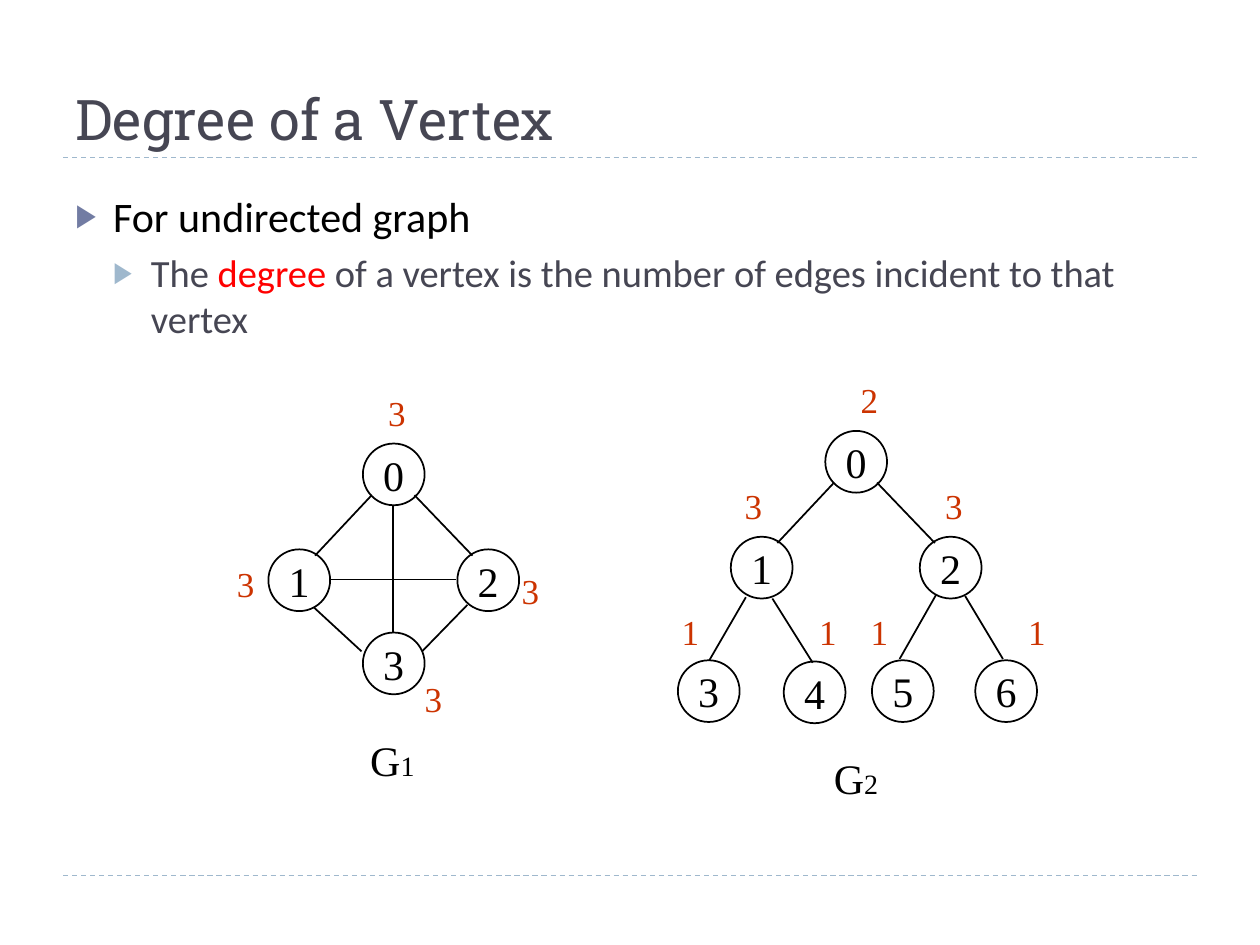
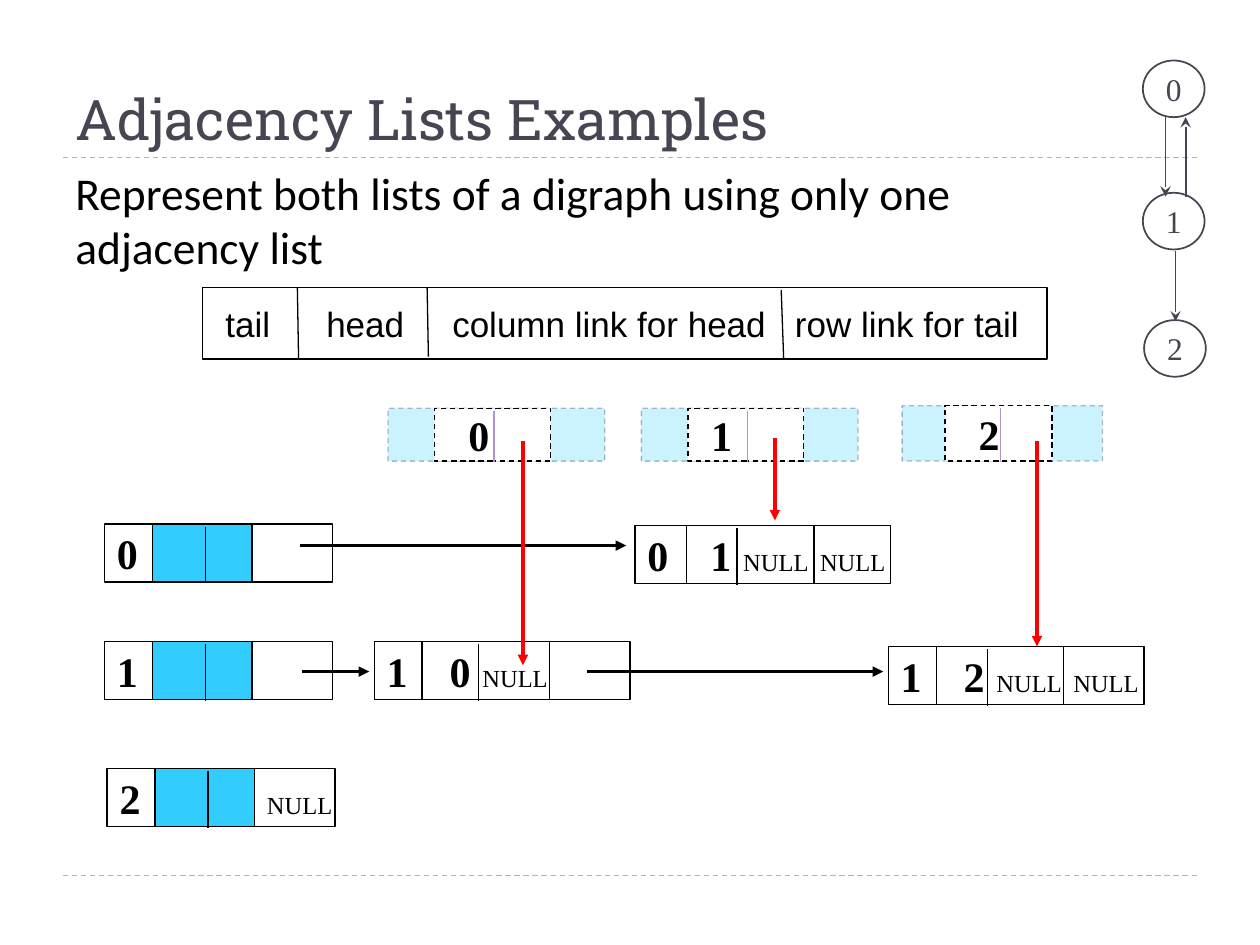
from dataclasses import dataclass, replace
from typing import NamedTuple, Optional

from lxml.etree import SubElement
from pptx import Presentation
from pptx.dml.color import RGBColor
from pptx.enum.dml import MSO_LINE
from pptx.enum.shapes import MSO_CONNECTOR as CONN, MSO_SHAPE as SHAPE
from pptx.enum.text import MSO_ANCHOR as ANCHOR, PP_ALIGN as ALIGN
from pptx.oxml.ns import qn
from pptx.util import Inches, Pt

WIDTH, HEIGHT = Inches(10), Inches(7.5)
COLS, ROWS = 100, 75


@dataclass(frozen=True)
class Theme:
    slate: str = "464653"
    black: str = "000000"
    white: str = "FFFFFF"
    red: str = "FF0000"
    degree: str = "CC3300"
    rule: str = "9FB8CD"
    bullet: str = "727CA3"
    cyan: str = "33CCFF"
    divider: str = "B292CA"
    head: str = "Roboto Slab"
    body: str = "Calibri"
    serif: str = "Times New Roman"
    sans: str = "Arial"
    title: int = 32
    lead: int = 26
    level1: int = 24
    level2: int = 22
    node: int = 24
    label: int = 20
    small_node: int = 18
    subscript: int = 16
    null: int = 14
    thin: float = 0.75
    edge: float = 1
    arrow: float = 2


T = Theme()


class Node(NamedTuple):
    text: str
    x: float
    y: float


class Edge(NamedTuple):
    x1: float
    y1: float
    x2: float
    y2: float


class Graph(NamedTuple):
    name: str
    name_x: float
    name_y: float
    nodes: list[Node]
    degrees: list[Node]
    edges: list[Edge]


@dataclass(frozen=True)
class RecordKind:
    w: float
    h: float
    inner_x: float
    inner_w: float
    divider_x: float
    tabs: tuple[float, ...] = ()
    fill: Optional[str] = None
    inner_fill: Optional[str] = None
    divider: str = T.black
    dashed: bool = False


class Record(NamedTuple):
    x: float
    y: float
    kind: RecordKind
    key: str
    rest: str = ""
    inset: float = 1


def col(n: float) -> int:
    return round(WIDTH * n / COLS)


def row(n: float) -> int:
    return round(HEIGHT * n / ROWS)


def area(x: float, y: float, w: float, h: float) -> tuple[int, int, int, int]:
    return col(x), row(y), col(w), row(h)


def fade(fill, percent: int) -> None:
    SubElement(fill.find(qn("a:solidFill"))[0], qn("a:alpha"), val=str(percent * 1000))


def stroke(line, color: str, width: float, dashed: bool = False) -> None:
    line.color.rgb = RGBColor.from_string(color)
    line.width = Pt(width)
    if dashed:
        line.dash_style = MSO_LINE.DASH


def add_line(slide, e: Edge, color: str = T.black, width: float = T.edge,
             dashed: bool = False, tip: str = "") -> None:
    c = slide.shapes.add_connector(CONN.STRAIGHT, col(e.x1), row(e.y1), col(e.x2), row(e.y2))
    stroke(c.line, color, width, dashed)
    if tip:
        SubElement(c.line._get_or_add_ln(), qn("a:tailEnd"), type=tip)
    SubElement(c._element.spPr, qn("a:effectLst"))


def add_shape(slide, preset, x: float, y: float, w: float, h: float,
              fill: Optional[str] = T.white, line: str = T.black,
              width: float = T.thin, dashed: bool = False, alpha: int = 100):
    s = slide.shapes.add_shape(preset, *area(x, y, w, h))
    s.shadow.inherit = False
    stroke(s.line, line, width, dashed)
    if fill:
        s.fill.solid()
        s.fill.fore_color.rgb = RGBColor.from_string(fill)
    else:
        s.fill.background()
    if alpha < 100:
        fade(s._element.spPr, alpha)
        fade(s.line._get_or_add_ln(), alpha)
    return s


def start_text(s, anchor=ANCHOR.MIDDLE, align=ALIGN.LEFT, wrap: bool = True,
               inset: float = 1, right: float = 1):
    tf = s.text_frame
    tf.word_wrap = wrap
    tf.vertical_anchor = anchor
    tf.margin_left, tf.margin_right = col(inset), col(right)
    tf.margin_top = tf.margin_bottom = row(0.5)
    p = tf.paragraphs[0]
    p.alignment = align
    return p


def add_run(p, text: str, *, size: float = T.node, color: str = T.black,
            font: str = T.serif, bold: bool = False) -> None:
    r = p.add_run()
    r.text = text
    r.font.size, r.font.name, r.font.bold = Pt(size), font, bold
    r.font.color.rgb = RGBColor.from_string(color)


def set_tabs(p, stops: tuple[float, ...]) -> None:
    tabs = SubElement(p._p.get_or_add_pPr(), qn("a:tabLst"))
    for stop in stops:
        SubElement(tabs, qn("a:tab"), pos=str(col(stop)), algn="l")


def set_bullet(p, color: str, indent: float) -> None:
    pPr = p._p.get_or_add_pPr()
    pPr.set("marL", str(col(indent)))
    pPr.set("indent", str(col(-3)))
    SubElement(SubElement(pPr, qn("a:buClr")), qn("a:srgbClr"), val=color)
    SubElement(pPr, qn("a:buSzPct"), val="76000")
    SubElement(pPr, qn("a:buFont"), typeface=T.sans)
    SubElement(pPr, qn("a:buChar"), char="▶")


def add_box(slide, x: float, y: float, w: float, h: float, **kw):
    return start_text(slide.shapes.add_textbox(*area(x, y, w, h)), **kw)


def add_slide(prs, title: str):
    slide = prs.slides.add_slide(prs.slide_layouts[6])
    for y in (69.5, 12.5):
        add_line(slide, Edge(5, y, 95, y), T.rule, T.thin, dashed=True)
    p = add_box(slide, 5, 1.7, 90, 10.8, anchor=ANCHOR.BOTTOM)
    add_run(p, title, size=T.title, color=T.slate, font=T.head)
    return slide


def add_node(slide, n: Node, h: float = 4.9, size: float = T.node, color: str = T.black) -> None:
    s = add_shape(slide, SHAPE.OVAL, n.x, n.y, 4.9, h, line=color, width=T.edge)
    p = start_text(s, align=ALIGN.CENTER, wrap=False)
    add_run(p, n.text, size=size, color=color)


def add_graph(slide, g: Graph) -> None:
    for n in g.nodes:
        add_node(slide, n)
    for e in g.edges:
        add_line(slide, e)
    for d in g.degrees:
        p = add_box(slide, d.x, d.y, 3.4, 4.4, align=ALIGN.CENTER, wrap=False)
        add_run(p, d.text, size=T.label, color=T.degree)
    p = add_box(slide, g.name_x, g.name_y, 5.6, 5.1, anchor=ANCHOR.TOP, wrap=False)
    add_run(p, g.name[0])
    add_run(p, g.name[1:], size=T.subscript)


def add_record(slide, rec: Record) -> None:
    k = rec.kind
    outer = add_shape(slide, SHAPE.RECTANGLE, rec.x, rec.y, k.w, k.h, k.fill,
                      dashed=k.dashed, alpha=25 if k.dashed else 100)
    inner = add_shape(slide, SHAPE.RECTANGLE, rec.x + k.inner_x, rec.y, k.inner_w, k.h,
                      k.inner_fill, dashed=k.dashed)
    p = start_text(inner if k.dashed else outer, inset=rec.inset, right=0)
    set_tabs(p, k.tabs)
    add_run(p, rec.key, bold=True)
    if rec.rest:
        add_run(p, rec.rest, size=T.null)
    x = rec.x + k.divider_x
    add_line(slide, Edge(x, rec.y + 0.2, x, rec.y + k.h + 0.1), k.divider, T.thin)


G1 = Graph(
    "G1", 28.4, 57.8,
    [Node("0", 28.8, 35.2), Node("1", 21.3, 43.6), Node("2", 36.3, 43.6), Node("3", 28.8, 50.2)],
    [Node("3", 29.8, 30.5), Node("3", 40.4, 44.7), Node("3", 17.8, 44.1), Node("3", 32.7, 53.2)],
    [Edge(31.2, 40.2, 31.2, 50.2), Edge(26.2, 46, 36.2, 46), Edge(29.5, 39.3, 25, 44.1),
     Edge(32.9, 39.3, 37.5, 44.1), Edge(24.9, 48.2, 28.7, 51.7), Edge(37.1, 48, 33.5, 51.7)])

G2 = Graph(
    "G2", 65.2, 59.2,
    [Node("0", 65.5, 34.2), Node("1", 58, 42.6), Node("2", 73, 42.6), Node("3", 53.8, 52.4),
     Node("4", 62.2, 52.5), Node("5", 69.2, 52.4), Node("6", 77.4, 52.4)],
    [Node("2", 67.3, 29.5), Node("3", 58.1, 37.9), Node("3", 74, 37.9)]
    + [Node("1", x, 47.9) for x in (53.1, 64, 68.1, 80.6)],
    [Edge(66.2, 38.3, 61.7, 43.1), Edge(69.6, 38.3, 74.2, 43.1), Edge(59.2, 47.4, 56.3, 52.4),
     Edge(61.3, 47.5, 64.5, 52.6), Edge(74.3, 47.2, 71.4, 52.3), Edge(76.6, 47.3, 79.6, 52.3)])

VERTEX = RecordKind(18.1, 4.6, 3.8, 7.9, 8, (11.7,), inner_fill=T.cyan)
ARC = RecordKind(20.3, 4.6, 3.8, 10.1, 8.1, (5, 7.6, 13.7))
COLUMN = RecordKind(17.2, 4.2, 3.7, 9.2, 8.4, fill=T.cyan, inner_fill=T.white,
                    divider=T.divider, dashed=True)
LAST_COLUMN = replace(COLUMN, w=15.9, h=4.4, inner_x=3.4, inner_w=8.5, divider_x=7.8)

RECORDS = [
    Record(8.5, 61, VERTEX, "2", "\tNULL"),
    Record(8.3, 50.9, VERTEX, "1"),
    Record(8.3, 41.6, VERTEX, "0"),
    Record(29.7, 50.9, replace(ARC, divider_x=8.3), "1\t0", "\tNULL"),
    Record(50.4, 41.7, replace(ARC, inner_x=4.1), "0\t1", "\tNULL\tNULL"),
    Record(70.5, 51.3, replace(ARC, divider_x=7.9), "1\t2", "\tNULL\tNULL"),
    Record(30.8, 32.4, COLUMN, "0", inset=2.67),
    Record(50.9, 32.4, COLUMN, "1", inset=1.83),
    Record(71.6, 32.2, LAST_COLUMN, "2", inset=2.67),
]
ROW_LINKS = [Edge(24, 53.3, 29.3, 53.3), Edge(23.8, 43.3, 49.7, 43.3), Edge(46.6, 53.3, 70.1, 53.3)]
COLUMN_LINKS = [Edge(41.5, 35, 41.5, 52.8), Edge(61.5, 34.8, 61.5, 41.3), Edge(82.3, 35, 82.3, 51.3)]
DIGRAPH_NODES = [Node("0", 90.7, 4.8), Node("1", 90.7, 15.3), Node("2", 90.8, 25.4)]
DIGRAPH_ARCS = [Edge(93.3, 19.9, 93.3, 25.5), Edge(94.1, 15.6, 94.1, 9.3), Edge(92.5, 9.3, 92.5, 15.6)]
FIELD_DIVIDERS = [Edge(23.6, 22.8, 23.7, 28.5), Edge(33.9, 22.8, 34, 28.3), Edge(62, 23, 62.2, 28.5)]


def build_degree(prs) -> None:
    slide = add_slide(prs, "Degree of a Vertex")
    p = add_box(slide, 5, 14.6, 90, 12.6, anchor=ANCHOR.TOP)
    set_bullet(p, T.bullet, 3)
    add_run(p, "For undirected graph", size=T.level1, font=T.body)
    p = slide.shapes[-1].text_frame.add_paragraph()
    p.level = 1
    p.space_before = Pt(5)
    set_bullet(p, T.rule, 6)
    for text, color in (("The ", T.slate), ("degree ", T.red),
                        ("of a vertex is the number of edges incident to that vertex", T.slate)):
        add_run(p, text, size=T.level2, color=color, font=T.body)
    for g in (G1, G2):
        add_graph(slide, g)


def build_adjacency(prs) -> None:
    slide = add_slide(prs, "Adjacency Lists Examples")
    for rec in RECORDS:
        add_record(slide, rec)
    for links, color in ((ROW_LINKS, T.black), (COLUMN_LINKS, T.red)):
        for e in links:
            add_line(slide, e, color, T.arrow, tip="triangle")
    for n in DIGRAPH_NODES:
        add_node(slide, n, 4.5, T.small_node, T.slate)
    for e in DIGRAPH_ARCS:
        add_line(slide, e, T.slate, tip="stealth")
    p = add_box(slide, 5, 12.6, 82.4, 9.8, anchor=ANCHOR.TOP)
    add_run(p, "Represent both lists of a digraph using only one adjacency list",
            size=T.lead, font=T.body)
    fields = add_shape(slide, SHAPE.RECTANGLE, 16.1, 22.8, 67, 5.7, None)
    p = start_text(fields, inset=1.8, right=0)
    set_tabs(p, (8, 18, 45.2))
    add_run(p, "tail\thead\tcolumn link for head\trow link for tail", size=T.label, font=T.sans)
    for e in FIELD_DIVIDERS:
        add_line(slide, e, width=T.thin)


def main() -> None:
    prs = Presentation()
    prs.slide_width, prs.slide_height = WIDTH, HEIGHT
    build_degree(prs)
    build_adjacency(prs)
    prs.save("out.pptx")


if __name__ == "__main__":
    main()
